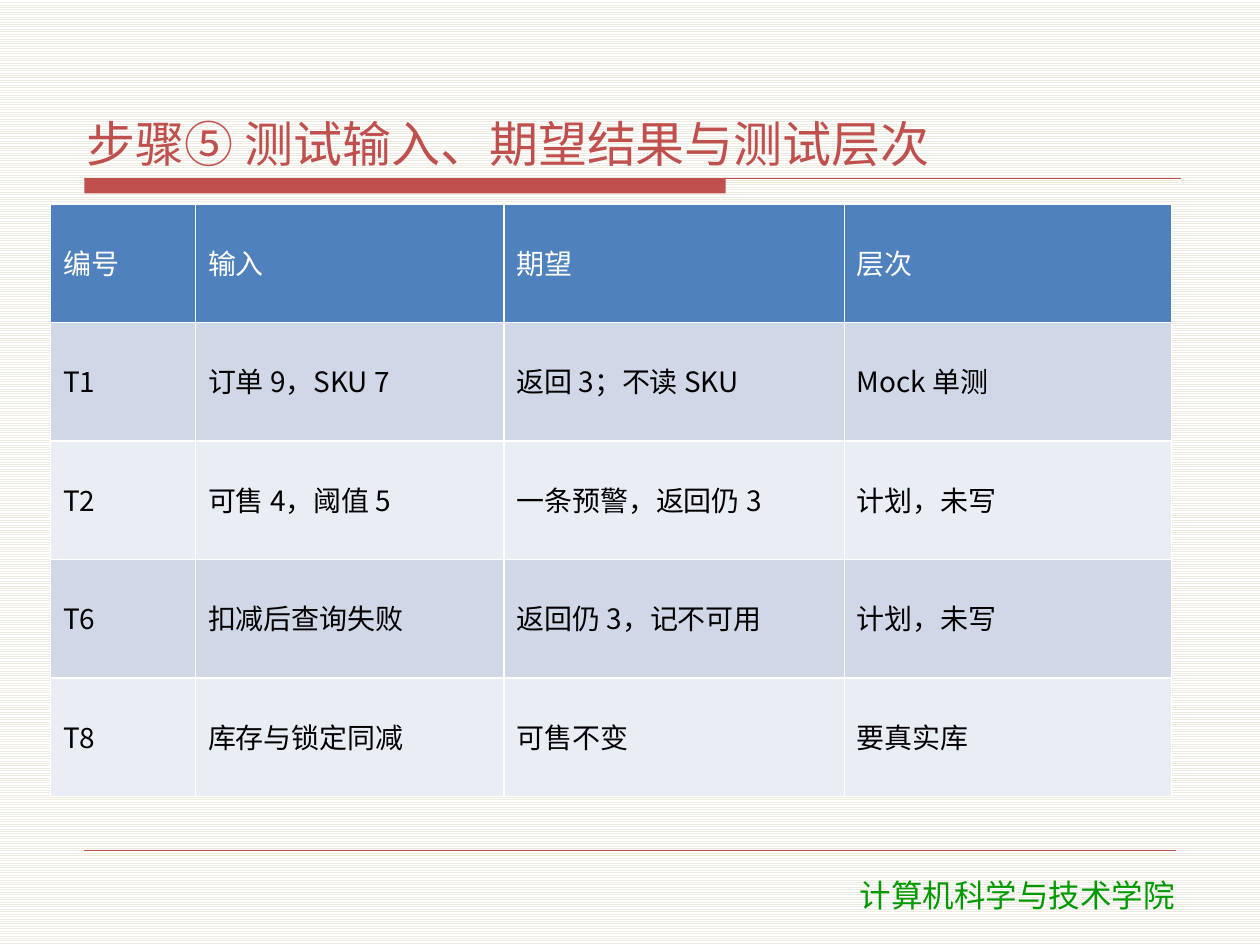
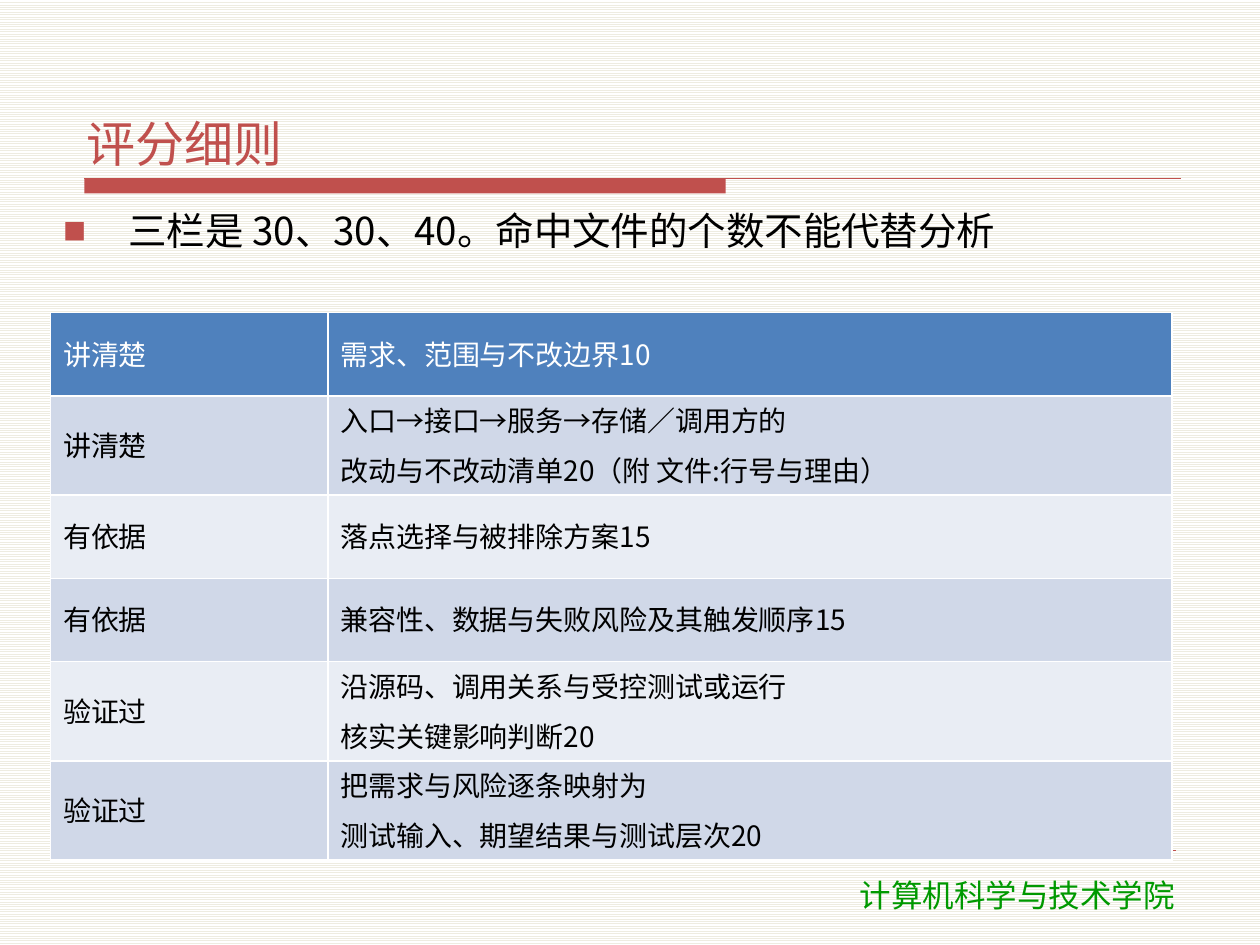
import dataclasses
import typing

import lxml.etree
import pptx
import pptx.dml.color
import pptx.enum.dml
import pptx.enum.shapes
import pptx.enum.text
import pptx.oxml.ns
import pptx.util

Cm = pptx.util.Cm
Pt = pptx.util.Pt
RGBColor = pptx.dml.color.RGBColor
Align = pptx.enum.text.PP_ALIGN
Anchor = pptx.enum.text.MSO_ANCHOR
qn = pptx.oxml.ns.qn

RED = RGBColor(0xC0, 0x50, 0x4D)
GREEN = RGBColor(0x00, 0x99, 0x00)
BLUE = RGBColor(0x4F, 0x81, 0xBD)
DARK = RGBColor(0xD0, 0xD8, 0xE8)
PALE = RGBColor(0xE9, 0xED, 0xF4)
CREAM = RGBColor(0xEE, 0xEC, 0xE1)
WHITE = RGBColor(0xFF, 0xFF, 0xFF)
BLACK = RGBColor(0x00, 0x00, 0x00)

SANS = "Noto Sans CJK SC"
PLAIN = "DejaVu Sans"
LEFT = Cm(1.7)
BAR_TOP = Cm(3.6)
TALL = 2.0


@dataclasses.dataclass(frozen=True)
class Style:
    """Look of a piece of text."""

    size: float
    color: RGBColor
    font: str = SANS


@dataclasses.dataclass(frozen=True)
class Box:
    """Place of a text box, in centimetres."""

    left: float
    top: float
    width: float
    height: float
    tight: bool = True


@dataclasses.dataclass(frozen=True)
class Grid:
    """A table with its top, row height and column widths in centimetres."""

    top: float
    row: float
    cols: tuple[float, ...]
    cells: tuple[tuple[str, ...], ...]

    def highs(self) -> list[float]:
        """Return the row heights, with room for two lines where needed."""
        return [max(self.row, TALL) if "\n" in "".join(texts) else self.row
                for texts in self.cells]


@dataclasses.dataclass(frozen=True)
class Page:
    """What one slide shows."""

    title: str
    grid: Grid
    lead: str = ""


HEAD = Style(28, RED)
LEAD = Style(22, BLACK)
FOOT = Style(18, GREEN, PLAIN)
HEAD_BOX = Box(1.6, 0.84, 22.22, 2.69)
LEAD_BOX = Box(1.14, 4.13, 23.11, 1.98)
FOOT_BOX = Box(15.4, 17.53, 10.21, 1.02, tight=False)

PAGES = (
    Page(
        "步骤⑤ 测试输入、期望结果与测试层次",
        Grid(4.11, 2.39, (2.92, 6.22, 6.86, 6.6), (
            ("编号", "输入", "期望", "层次"),
            ("T1", "订单 9，SKU 7", "返回 3；不读 SKU", "Mock 单测"),
            ("T2", "可售 4，阈值 5", "一条预警，返回仍 3", "计划，未写"),
            ("T6", "扣减后查询失败", "返回仍 3，记不可用", "计划，未写"),
            ("T8", "库存与锁定同减", "可售不变", "要真实库"),
        )),
    ),
    Page(
        "评分细则",
        Grid(6.3, 1.68, (5.59, 17.02), (
            ("讲清楚", "需求、范围与不改边界10"),
            ("讲清楚", "入口→接口→服务→存储／调用方的\n改动与不改动清单20（附 文件:行号与理由）"),
            ("有依据", "落点选择与被排除方案15"),
            ("有依据", "兼容性、数据与失败风险及其触发顺序15"),
            ("验证过", "沿源码、调用关系与受控测试或运行\n核实关键影响判断20"),
            ("验证过", "把需求与风险逐条映射为\n测试输入、期望结果与测试层次20"),
        )),
        "三栏是 30、30、40。命中文件的个数不能代替分析",
    ),
)


def add_node(host: typing.Any, tag: str, **attrs: str) -> typing.Any:
    """Append a DrawingML element to its host."""
    return lxml.etree.SubElement(host, qn(tag), attrs)


def set_style(para: typing.Any, style: Style) -> None:
    """Format the runs of a paragraph."""
    for run in para.runs:
        run.font.size = Pt(style.size)
        run.font.bold = False
        run.font.color.rgb = style.color
        run.font.name = style.font
        add_node(run.font._element, "a:ea", typeface=style.font)


def add_text(slide: typing.Any, text: str, box: Box, style: Style) -> typing.Any:
    """Draw a text box and return its frame."""
    shape = slide.shapes.add_textbox(
        Cm(box.left), Cm(box.top), Cm(box.width), Cm(box.height))
    frame = shape.text_frame
    frame.word_wrap = True
    if box.tight:
        frame.margin_left = frame.margin_right = Cm(0.15)
        frame.margin_top = frame.margin_bottom = Cm(0.05)
    frame.text = text
    set_style(frame.paragraphs[0], style)
    return frame


def add_rule(slide: typing.Any, top: int, right: int, width: float) -> None:
    """Draw a thin red line across the slide."""
    line = slide.shapes.add_connector(
        pptx.enum.shapes.MSO_CONNECTOR.STRAIGHT, LEFT, top, right, top)
    line.line.color.rgb = RED
    line.line.width = Pt(width)
    add_node(line._element.spPr, "a:effectLst")


def add_frame(slide: typing.Any, title: str) -> None:
    """Draw the ground, bar, rules, footer and title."""
    fill = slide.background.fill
    fill.patterned()
    fill.pattern = pptx.enum.dml.MSO_PATTERN.LIGHT_HORIZONTAL
    fill.fore_color.rgb = CREAM
    fill.back_color.rgb = WHITE
    bar = slide.shapes.add_shape(
        pptx.enum.shapes.MSO_SHAPE.RECTANGLE, LEFT, BAR_TOP, Cm(12.93), Cm(0.3))
    bar.shadow.inherit = False
    bar.fill.solid()
    bar.fill.fore_color.rgb = RED
    bar.line.fill.background()
    add_rule(slide, BAR_TOP, Cm(23.8), 0.75)
    add_rule(slide, Cm(17.15), Cm(23.7), 0.25)
    foot = add_text(slide, "计算机科学与技术学院", FOOT_BOX, FOOT)
    foot.paragraphs[0].alignment = Align.CENTER
    head = add_text(slide, title, HEAD_BOX, HEAD)
    head.vertical_anchor = Anchor.BOTTOM


def add_lead(slide: typing.Any, text: str) -> None:
    """Draw the line with a red square bullet."""
    para = add_text(slide, text, LEAD_BOX, LEAD).paragraphs[0]
    props = para._p.get_or_add_pPr()
    props.set("marL", str(Cm(1.3)))
    props.set("indent", str(-Cm(1.3)))
    tint = add_node(props, "a:buClr")
    add_node(tint, "a:srgbClr", val=str(RED))
    add_node(props, "a:buSzPct", val="60000")
    add_node(props, "a:buFont", typeface=SANS)
    add_node(props, "a:buChar", char="■")


def set_edge(cell: typing.Any) -> None:
    """Give a cell thin white borders."""
    props = cell._tc.get_or_add_tcPr()
    for spot, side in enumerate(("a:lnL", "a:lnR", "a:lnT", "a:lnB")):
        edge = add_node(props, side, w=str(Pt(1)))
        add_node(add_node(edge, "a:solidFill"), "a:srgbClr", val=str(WHITE))
        props.insert(spot, edge)


def fill_cell(cell: typing.Any, text: str, row: int) -> None:
    """Write and colour one cell by its row."""
    cell.fill.solid()
    cell.fill.fore_color.rgb = BLUE if row == 0 else (PALE, DARK)[row % 2]
    set_edge(cell)
    cell.vertical_anchor = Anchor.TOP if "\n" in text else Anchor.MIDDLE
    cell.text_frame.text = text
    style = Style(16, BLACK if row else WHITE)
    for count, para in enumerate(cell.text_frame.paragraphs):
        para.line_spacing = 0.9
        para.space_before = Pt(6 if count else 0)
        para.space_after = Pt(2)
        set_style(para, style)


def add_grid(slide: typing.Any, grid: Grid) -> None:
    """Draw a table."""
    highs = grid.highs()
    table = slide.shapes.add_table(
        len(grid.cells), len(grid.cols), Cm(1.02), Cm(grid.top),
        Cm(sum(grid.cols)), Cm(sum(highs))).table
    table.horz_banding = False
    for col, width in zip(table.columns, grid.cols):
        col.width = Cm(width)
    for row, texts in enumerate(grid.cells):
        table.rows[row].height = Cm(highs[row])
        for col, text in enumerate(texts):
            fill_cell(table.cell(row, col), text, row)


def main() -> None:
    """Build and save the slides."""
    deck = pptx.Presentation()
    deck.slide_width, deck.slide_height = Cm(25.4), Cm(19.05)
    for page in PAGES:
        slide = deck.slides.add_slide(deck.slide_layouts[6])
        add_frame(slide, page.title)
        if page.lead:
            add_lead(slide, page.lead)
        add_grid(slide, page.grid)
    deck.save("out.pptx")


if __name__ == "__main__":
    main()
